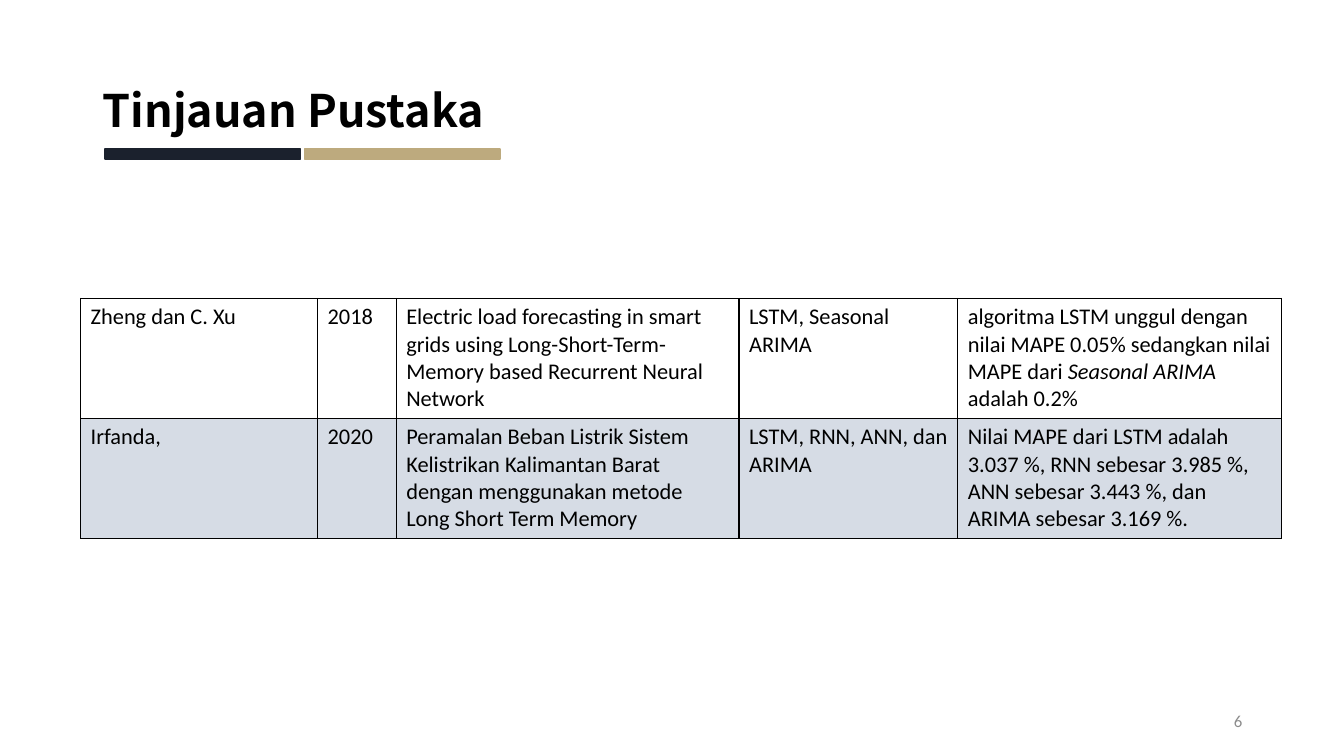
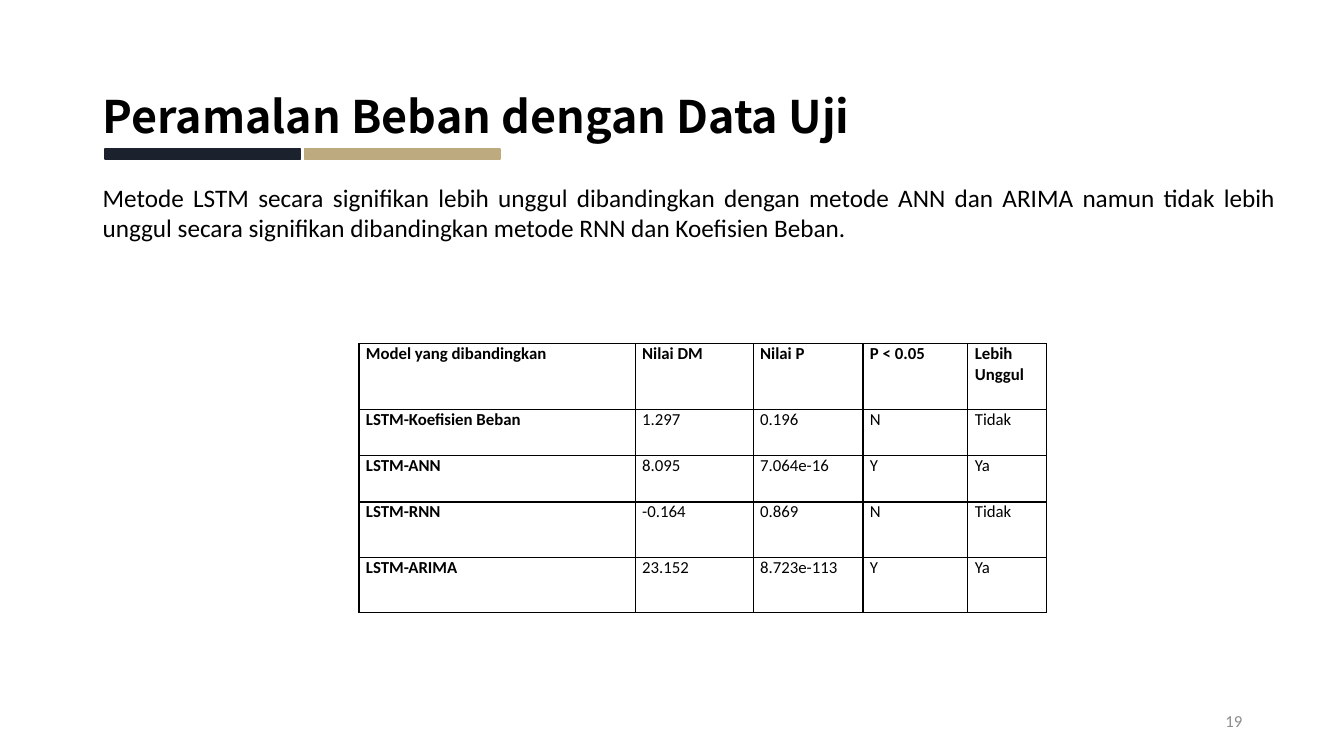
from lxml.etree import SubElement
from pptx import Presentation
from pptx.dml.color import RGBColor
from pptx.enum.shapes import MSO_SHAPE
from pptx.enum.text import MSO_ANCHOR, PP_ALIGN
from pptx.oxml.ns import qn
from pptx.util import Inches, Pt

BLACK, NAVY, GOLD, GREY, PALE = "000000", "1B212D", "BDAA7E", "8C8C8C", "D6DCE5"
BODY_FONT, TITLE_FONT = "Calibri", "Noto Sans CJK TC"


def write(frame, text, size, font=BODY_FONT, color=BLACK, bold=False,
          align=PP_ALIGN.LEFT, anchor=MSO_ANCHOR.TOP, spacing=None):
    """Fill a text frame; words between asterisks become italic."""
    frame.word_wrap = True
    frame.vertical_anchor = anchor
    paragraph = frame.paragraphs[0]
    paragraph.alignment = align
    paragraph.line_spacing = spacing
    for index, part in enumerate(text.split("*")):
        run = paragraph.add_run()
        run.text = part
        run.font.name = font
        run.font.size = Pt(size)
        run.font.bold = bold
        run.font.italic = index % 2 == 1
        run.font.color.rgb = RGBColor.from_string(color)


def add_bordered_table(slide, left, top, widths, heights):
    frame = slide.shapes.add_table(len(heights), len(widths), Inches(left), Inches(top),
                                   Inches(sum(widths)), Inches(sum(heights)))
    table = frame.table
    table.first_row = table.horz_banding = False
    for column, width in zip(table.columns, widths):
        column.width = Inches(width)
    for row, height in zip(table.rows, heights):
        row.height = Inches(height)
    for cell in table.iter_cells():
        properties = cell._tc.get_or_add_tcPr()
        for side in ("a:lnL", "a:lnR", "a:lnT", "a:lnB"):
            border = SubElement(properties, qn(side), w=str(Pt(1)))
            SubElement(SubElement(border, qn("a:solidFill")), qn("a:srgbClr"), val=BLACK)
        cell.fill.background()
    return table


presentation = Presentation()
presentation.slide_width = Inches(13.33)
presentation.slide_height = Inches(7.5)

# Title, rule and page number on every slide
slides = []
for title, title_top, page in [("Tinjauan Pustaka", 0.4, "6"),
                               ("Peramalan Beban dengan Data Uji", 0.46, "19")]:
    slide = presentation.slides.add_slide(presentation.slide_layouts[6])
    slides.append(slide)
    heading = slide.shapes.add_textbox(Inches(0.92), Inches(title_top), Inches(11.5), Inches(1.45))
    write(heading.text_frame, title, 32, font=TITLE_FONT, bold=True,
          anchor=MSO_ANCHOR.MIDDLE, spacing=0.9)
    for bar_left, color in [(1.04, NAVY), (3.02, GOLD)]:
        bar = slide.shapes.add_shape(MSO_SHAPE.RECTANGLE, Inches(bar_left), Inches(1.48),
                                     Inches(1.94), Inches(0.1))
        bar.shadow.inherit = False
        bar.fill.solid()
        bar.fill.fore_color.rgb = RGBColor.from_string(color)
        bar.line.color.rgb = RGBColor.from_string(color)
        bar.line.width = Pt(1)
    page_number = slide.shapes.add_textbox(Inches(9.42), Inches(6.95), Inches(3), Inches(0.4))
    write(page_number.text_frame, page, 12, color=GREY, align=PP_ALIGN.RIGHT,
          anchor=MSO_ANCHOR.MIDDLE)

literature_slide, comparison_slide = slides

# Literature review
studies = [
    ("Zheng dan C. Xu", "2018",
     "Electric load forecasting in smart grids using Long-Short-Term-Memory based "
     "Recurrent Neural Network",
     "LSTM, Seasonal ARIMA",
     "algoritma LSTM unggul dengan nilai MAPE 0.05% sedangkan nilai MAPE dari "
     "*Seasonal ARIMA *adalah 0.2%"),
    ("Irfanda,", "2020",
     "Peramalan Beban Listrik Sistem Kelistrikan Kalimantan Barat dengan menggunakan "
     "metode Long Short Term Memory",
     "LSTM, RNN, ANN, dan ARIMA",
     "Nilai MAPE dari LSTM adalah 3.037 %, RNN sebesar 3.985 %, ANN sebesar 3.443 %, "
     "dan ARIMA sebesar 3.169 %."),
]
literature = add_bordered_table(literature_slide, 0.8, 2.96,
                                [2.35, 0.78, 3.4, 2.17, 3.21], [1.19, 1.19])
for row_index, study in enumerate(studies):
    for column_index, text in enumerate(study):
        cell = literature.cell(row_index, column_index)
        write(cell.text_frame, text, 16)
        if row_index == 1:
            cell.fill.solid()
            cell.fill.fore_color.rgb = RGBColor.from_string(PALE)

# Model comparison
conclusion = comparison_slide.shapes.add_textbox(Inches(0.92), Inches(1.76),
                                                 Inches(11.83), Inches(0.71))
write(conclusion.text_frame,
      "Metode LSTM secara signifikan lebih unggul dibandingkan dengan metode ANN dan ARIMA "
      "namun tidak lebih unggul secara signifikan dibandingkan metode RNN dan Koefisien Beban.",
      18, align=PP_ALIGN.JUSTIFY)

results = [
    ("Model yang dibandingkan", "Nilai DM", "Nilai P", "P < 0.05", "Lebih Unggul"),
    ("LSTM-Koefisien Beban", "1.297", "0.196", "N", "Tidak"),
    ("LSTM-ANN", "8.095", "7.064e-16", "Y", "Ya"),
    ("LSTM-RNN", "-0.164", "0.869", "N", "Tidak"),
    ("LSTM-ARIMA", "23.152", "8.723e-113", "Y", "Ya"),
]
comparison = add_bordered_table(comparison_slide, 3.56, 3.41,
                                [2.74, 1.17, 1.09, 1.04, 0.78], [0.65, 0.46, 0.46, 0.55, 0.55])
for row_index, result in enumerate(results):
    for column_index, text in enumerate(result):
        cell = comparison.cell(row_index, column_index)
        cell.margin_left = cell.margin_right = Inches(0.07)
        cell.margin_top = cell.margin_bottom = 0
        write(cell.text_frame, text, 12, bold=row_index == 0 or column_index == 0,
              align=PP_ALIGN.JUSTIFY)

presentation.save("out.pptx")
